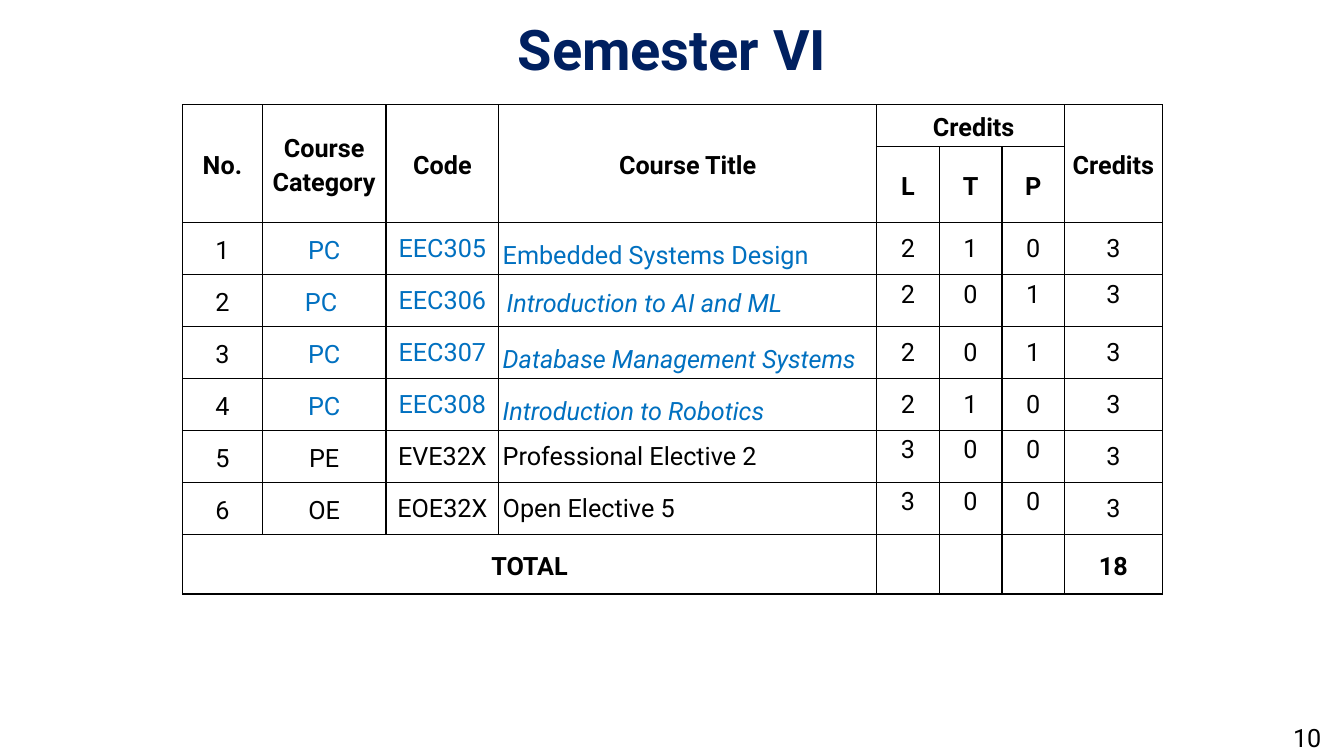
from dataclasses import dataclass
from typing import Optional, Union

from pptx import Presentation
from pptx.dml.color import RGBColor
from pptx.enum.text import MSO_ANCHOR as Anchor, PP_ALIGN as Align
from pptx.oxml import parse_xml
from pptx.oxml.ns import nsdecls
from pptx.util import Cm, Length, Pt

BLACK = RGBColor(0x00, 0x00, 0x00)
BLUE = RGBColor(0x00, 0x70, 0xC0)
NAVY = RGBColor(0x00, 0x20, 0x60)
FONT = "Roboto"
NARROW, WIDE = Cm(0.1), Cm(0.2)

COL_WIDTHS = [2.01, 3.12, 2.84, 9.52, 1.58, 1.58, 1.58, 2.46]
ROW_HEIGHTS = [0.71, 0.71] + [1.31] * 6 + [1.5]


@dataclass
class TextStyle:
    size: float = 18
    color: RGBColor = BLACK
    bold: bool = False
    italic: bool = False
    align: Align = Align.CENTER
    anchor: Anchor = Anchor.MIDDLE
    spacing: Union[float, Length, None] = None
    inset: Optional[Length] = None


@dataclass
class HeaderCell:
    text: str
    row: int
    col: int
    last_row: int
    last_col: int


@dataclass
class Course:
    category: str
    code: str
    title: str
    credits: str  # L, T, P and total, one digit each
    core: bool = True
    italic: bool = True
    pitch: Optional[Length] = None  # line pitch of the wide-margin cells
    wide_cols: tuple = ()


HEADERS = [
    HeaderCell("No.", 0, 0, 1, 0),
    HeaderCell("Course\nCategory", 0, 1, 1, 1),
    HeaderCell("Code", 0, 2, 1, 2),
    HeaderCell("Course Title", 0, 3, 1, 3),
    HeaderCell(" Credits", 0, 4, 0, 6),
    HeaderCell("Credits", 0, 7, 1, 7),
    HeaderCell("L", 1, 4, 1, 4),
    HeaderCell("T", 1, 5, 1, 5),
    HeaderCell("P", 1, 6, 1, 6),
    HeaderCell("TOTAL", 8, 0, 8, 3),
    HeaderCell("18", 8, 7, 8, 7),
]
COURSES = [
    Course("PC", "EEC305", "Embedded Systems Design", "2103", italic=False),
    Course("PC ", "EEC306", "Introduction to AI and ML", "2013",
           pitch=Pt(12.8), wide_cols=(3, 4, 5, 6, 7)),
    Course("PC", "EEC307", "Database Management Systems", "2013"),
    Course("PC", "EEC308", "Introduction to Robotics", "2103"),
    Course("PE", "EVE32X", "Professional Elective 2", "3003", core=False,
           italic=False, pitch=Pt(11.2), wide_cols=(4, 5, 6)),
    Course("OE", "EOE32X", "Open Elective 5", "3003", core=False,
           italic=False, pitch=Pt(11.2), wide_cols=(4, 5, 6)),
]


def write(tf, text: str, style: TextStyle) -> None:
    tf.text = text
    font_format = {"name": FONT, "size": Pt(style.size),
                   "bold": style.bold, "italic": style.italic}
    for p in tf.paragraphs:
        p.alignment = style.align
        p.line_spacing = style.spacing
        for r in p.runs:
            for name, value in font_format.items():
                setattr(r.font, name, value)
            r.font.color.rgb = style.color


def fill_cell(cell, text: str, style: TextStyle) -> None:
    write(cell.text_frame, text, style)
    cell_format = {"vertical_anchor": style.anchor}
    for side in ("left", "right", "top", "bottom"):
        cell_format[f"margin_{side}"] = style.inset
    for name, value in cell_format.items():
        setattr(cell, name, value)


def outline_cell(cell) -> None:
    tc_pr = cell._tc.get_or_add_tcPr()
    for side in "LRTB":
        tc_pr.append(parse_xml(
            f'<a:ln{side} {nsdecls("a")} w="12700"><a:solidFill>'
            f'<a:srgbClr val="{BLACK}"/></a:solidFill></a:ln{side}>'))
    cell.fill.background()


def add_label(s, text: str, box: tuple, style: TextStyle) -> None:
    sp = s.shapes.add_textbox(*(Cm(v) for v in box))
    tf = sp.text_frame
    tf.word_wrap = True
    tf.vertical_anchor = style.anchor
    write(tf, text, style)


def course_style(course: Course, col: int) -> TextStyle:
    style = TextStyle(inset=NARROW)
    if col < 2:
        style.spacing = 1.15
    if course.core and 1 <= col <= 3:
        style.color = BLUE
    if col == 3:
        style.align = Align.LEFT
        style.italic = course.italic
        if course.core:
            style.anchor = Anchor.BOTTOM
    if col in course.wide_cols:
        style.inset = WIDE
        if col > 3:
            style.spacing = course.pitch
    return style


def add_course_table(s) -> None:
    frame = s.shapes.add_table(
        len(ROW_HEIGHTS), len(COL_WIDTHS), Cm(4.6), Cm(2.64),
        Cm(sum(COL_WIDTHS)), Cm(sum(ROW_HEIGHTS)))
    table = frame.table
    table.first_row = table.horz_banding = False
    for column, width in zip(table.columns, COL_WIDTHS):
        column.width = Cm(width)
    for row, height in zip(table.rows, ROW_HEIGHTS):
        row.height = Cm(height)
    for cell in table.iter_cells():
        outline_cell(cell)

    # Header and total cells
    bold = TextStyle(bold=True, spacing=1.15, inset=NARROW)
    for h in HEADERS:
        cell = table.cell(h.row, h.col)
        if (h.row, h.col) != (h.last_row, h.last_col):
            cell.merge(table.cell(h.last_row, h.last_col))
        fill_cell(cell, h.text, bold)

    # Course rows
    for number, course in enumerate(COURSES, 1):
        texts = [str(number), course.category, course.code, course.title,
                 *course.credits]
        for col, text in enumerate(texts):
            fill_cell(table.cell(number + 1, col), text,
                      course_style(course, col))


def main() -> None:
    prs = Presentation()
    prs.slide_width, prs.slide_height = Cm(33.87), Cm(19.05)
    s = prs.slides.add_slide(prs.slide_layouts[6])
    add_course_table(s)
    # Title and page number
    add_label(s, "Semester VI", (0, 0, 33.87, 2.64),
              TextStyle(size=40, color=NAVY, bold=True, spacing=0.9))
    add_label(s, "10", (25.93, 18.08, 7.62, 1.02),
              TextStyle(align=Align.RIGHT, anchor=Anchor.TOP))
    prs.save("out.pptx")


if __name__ == "__main__":
    main()
